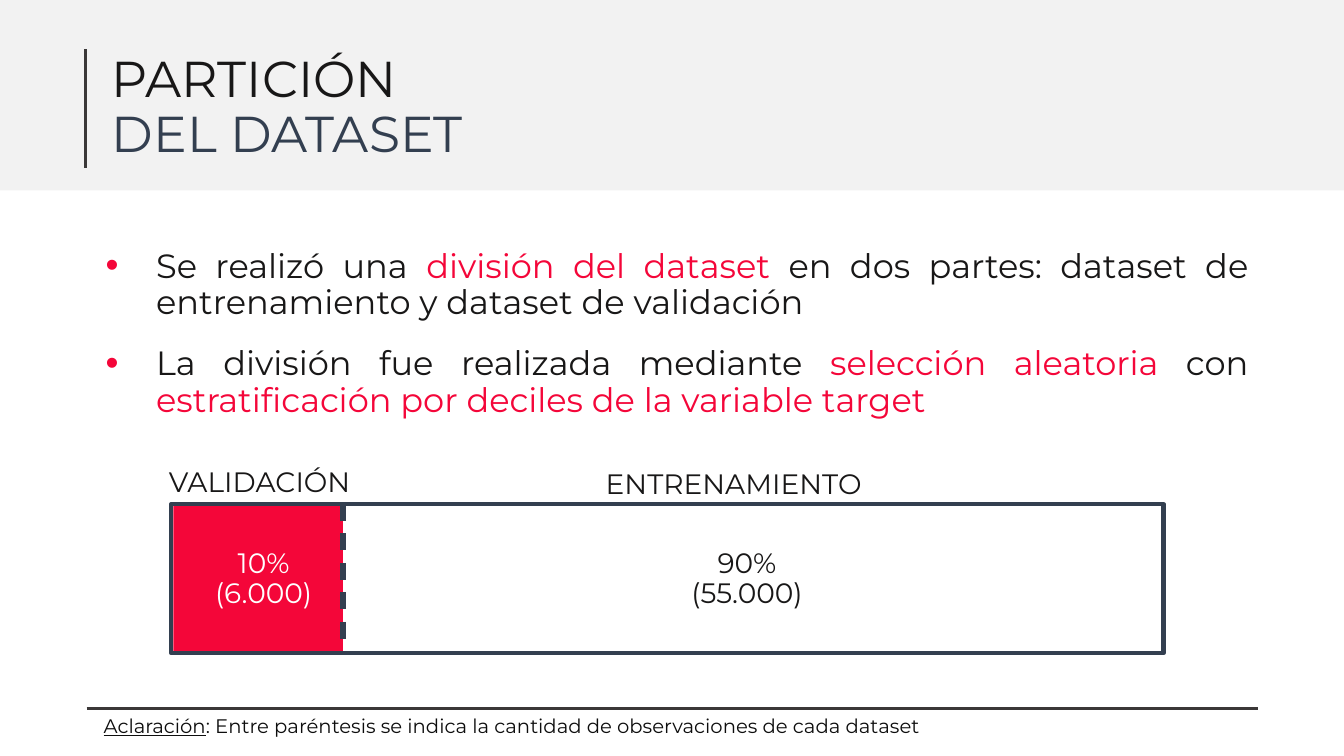
import dataclasses
import pptx
import pptx.util
import pptx.dml.color
import pptx.enum.dml
import pptx.enum.shapes
import pptx.enum.text
import pptx.oxml.ns
import lxml.etree

Inches = pptx.util.Inches
Pt = pptx.util.Pt
Align = pptx.enum.text.PP_ALIGN
Anchor = pptx.enum.text.MSO_ANCHOR
qn = pptx.oxml.ns.qn


@dataclasses.dataclass(frozen=True)
class Theme:
    font: str = "Montserrat"
    ink: str = "181717"
    note: str = "0D0D0D"
    navy: str = "333F50"
    red: str = "F40639"
    rule: str = "3B3838"
    band: str = "F2F2F2"
    white: str = "FFFFFF"
    title_size: int = 36
    body_size: int = 24
    label_size: int = 20
    note_size: int = 14
    rule_width: float = 2.25
    frame_width: float = 3
    line_spacing: float = 0.9


THEME = Theme()


def rgb(value):
    return pptx.dml.color.RGBColor.from_string(value)


def place(shape, box):
    shape.left, shape.top, shape.width, shape.height = map(Inches, box)


def write(shape, lines, size, align=Align.LEFT, after=0, indent=0, hanging=0, anchor=Anchor.MIDDLE):
    frame = shape.text_frame
    frame.word_wrap = True
    frame.auto_size = pptx.enum.text.MSO_AUTO_SIZE.NONE
    frame.vertical_anchor = anchor
    frame.text = "\n".join("" for line in lines)
    for para, spans in zip(frame.paragraphs, lines):
        para.alignment = align
        para.line_spacing = THEME.line_spacing
        para.space_before = Pt(0)
        para.space_after = Pt(after)
        properties = para._p.get_or_add_pPr()
        properties.set("marL", str(Inches(indent)))
        properties.set("indent", str(Inches(hanging)))
        for text, color in spans:
            span = para.add_run()
            span.text = text
            span.font.name = THEME.font
            span.font.size = Pt(size)
            span.font.color.rgb = rgb(color)
    return frame


def add_text(page, box, lines, size, **options):
    return write(page.shapes.add_textbox(*map(Inches, box)), lines, size, **options)


def add_rectangle(page, box, fill=None, line=None):
    kind = pptx.enum.shapes.MSO_SHAPE.RECTANGLE
    shape = page.shapes.add_shape(kind, *map(Inches, box))
    shape.shadow.inherit = False
    if fill:
        shape.fill.solid()
        shape.fill.fore_color.rgb = rgb(fill)
    else:
        shape.fill.background()
    if line:
        shape.line.color.rgb = rgb(line)
        shape.line.width = Pt(THEME.frame_width)
    else:
        shape.line.fill.background()


def add_line(page, start, end, color, width, dashed=False):
    kind = pptx.enum.shapes.MSO_CONNECTOR.STRAIGHT
    line = page.shapes.add_connector(kind, *map(Inches, (*start, *end)))
    line.line.color.rgb = rgb(color)
    line.line.width = Pt(width)
    if dashed:
        line.line.dash_style = pptx.enum.dml.MSO_LINE.DASH
    lxml.etree.SubElement(line._element.spPr, qn("a:effectLst"))


def add_bullet(para):
    properties = para._p.get_or_add_pPr()
    color = lxml.etree.SubElement(properties, qn("a:buClr"))
    lxml.etree.SubElement(color, qn("a:srgbClr"), val=THEME.red)
    lxml.etree.SubElement(properties, qn("a:buSzPct"), val="110000")
    lxml.etree.SubElement(properties, qn("a:buFont"), typeface="Arial")
    lxml.etree.SubElement(properties, qn("a:buChar"), char="•")


def add_header(page, box):
    left, top, width, height = box
    add_rectangle(page, box, fill=THEME.band)
    add_line(page, (left + 0.85, top + 0.53), (left + 0.85, top + 1.71), THEME.rule, THEME.rule_width)
    title = page.shapes.title
    title.element.getparent().append(title.element)
    place(title, (left + 1.01, top + 0.4, 11.76, 1.44))
    write(title, [[("PARTICIÓN", THEME.ink)], [("DEL DATASET", THEME.navy)]], THEME.title_size)


def add_points(page, box):
    points = [
        [("Se realizó una ", THEME.ink), ("división del dataset ", THEME.red),
         ("en dos partes: dataset de entrenamiento y dataset de validación", THEME.ink)],
        [("La división fue realizada mediante ", THEME.ink), ("selección aleatoria ", THEME.red),
         ("con ", THEME.ink), ("estratificación por deciles de la variable target", THEME.red)],
    ]
    frame = add_text(page, box, points, THEME.body_size, align=Align.JUSTIFY, indent=0.69, hanging=-0.5)
    for para, after in zip(frame.paragraphs, (18, 24)):
        para.space_after = Pt(after)
        add_bullet(para)


def add_partition(page, box):
    left, top, width, height = box
    add_rectangle(page, (left + 0.02, top + 0.01, 1.68, height), fill=THEME.red)
    add_rectangle(page, box, line=THEME.navy)
    parts = [
        ("VALIDACIÓN", (-0.36, -0.43, 2.37), Align.CENTER, ("10%", "(6.000)"), (0.06, 1.61), THEME.white),
        ("ENTRENAMIENTO", (4.11, -0.41, 3.1), Align.LEFT, ("90%", "(55.000)"), (4.11, 3.1), THEME.ink),
    ]
    for name, (name_x, name_y, name_width), align, values, (value_x, value_width), color in parts:
        add_text(page, (left + name_x, top + name_y, name_width, 0.45), [[(name, THEME.ink)]],
                 THEME.label_size, align=align, after=24, indent=0.1)
        add_text(page, (left + value_x, top + 0.35, value_width, 0.8), [[(value, color)] for value in values],
                 THEME.label_size, align=Align.CENTER, indent=0.1)
    for offset in (1.69, 1.71):
        add_line(page, (left + offset, top), (left + offset, top + height),
                 THEME.navy, THEME.frame_width, dashed=True)


def add_note(page, box):
    left, top, width, height = box
    add_line(page, (left, top), (left + width, top), THEME.rule, THEME.rule_width)
    spans = [("Aclaración", THEME.note),
             (": Entre paréntesis se indica la cantidad de observaciones de cada dataset", THEME.note)]
    frame = add_text(page, (left + 0.07, top + 0.03, 11.03, height - 0.03), [spans],
                     THEME.note_size, after=18, anchor=Anchor.TOP)
    frame.paragraphs[0].runs[0].font.underline = True


def main():
    deck = pptx.Presentation()
    deck.slide_width, deck.slide_height = Inches(13.33), Inches(7.5)
    page = deck.slides.add_slide(deck.slide_layouts.get_by_name("Title Only"))
    add_header(page, (0, -0.04, 13.33, 1.93))
    add_points(page, (0.76, 2.2, 11.72, 2.23))
    add_partition(page, (1.7, 5, 9.84, 1.48))
    add_note(page, (0.86, 7.03, 11.62, 0.31))
    deck.save("out.pptx")


if __name__ == "__main__":
    main()
